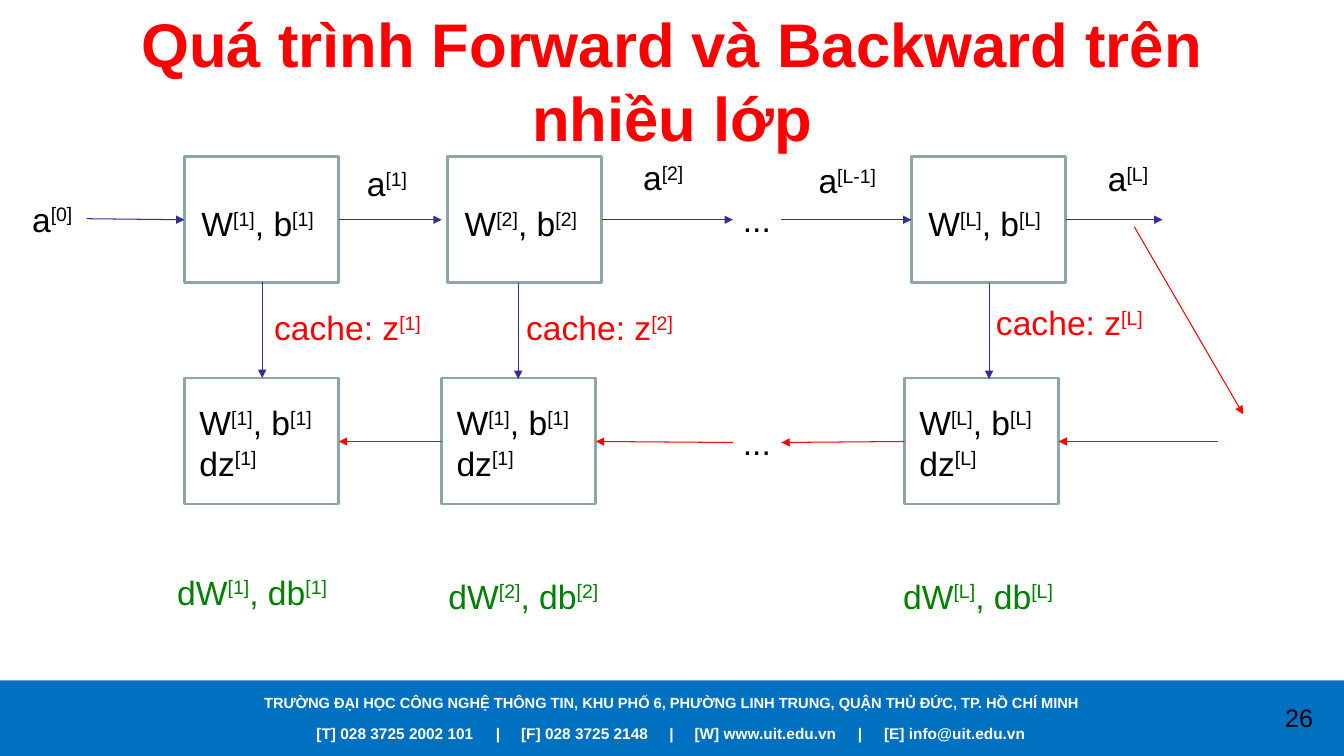
from dataclasses import dataclass

from lxml import etree
from pptx import Presentation
from pptx.dml.color import RGBColor
from pptx.enum.shapes import MSO_CONNECTOR, MSO_SHAPE
from pptx.enum.text import MSO_ANCHOR, MSO_AUTO_SIZE, PP_ALIGN
from pptx.oxml.ns import qn
from pptx.shapes.shapetree import GroupShapes, SlideShapes
from pptx.slide import Slide
from pptx.text.text import TextFrame, _Paragraph
from pptx.util import Inches, Pt

RECTANGLE = MSO_SHAPE.RECTANGLE
STRAIGHT = MSO_CONNECTOR.STRAIGHT
MIDDLE = MSO_ANCHOR.MIDDLE
NO_AUTOFIT = MSO_AUTO_SIZE.NONE
LEFT, CENTER = PP_ALIGN.LEFT, PP_ALIGN.CENTER

COLORS = {
    "black": "000000",
    "white": "FFFFFF",
    "red": "FF0000",
    "green": "008000",
    "navy": "2F2F98",
    "outline": "8AA6A8",
    "footer": "0070C0",
}
FORMATS = {
    "title": {"name": "Arial", "size": Pt(44), "bold": True},
    "formula": {"name": "Arial", "size": Pt(24), "bold": False},
    "address": {"name": "Arial", "size": Pt(10.5), "bold": True},
    "contact": {"name": "Arial", "size": Pt(11), "bold": True},
    "number": {"name": "Arial", "size": Pt(18), "bold": False},
}
BOX_WIDTH, BOX_HEIGHT = 1.53, 1.25
FORWARD_TOP, BACKWARD_TOP = 1.55, 3.75
FORWARD_AXIS, BACKWARD_AXIS = 2.18, 4.38
CONTACT_TABS = (1.78, 2.03, 3.5, 3.75, 5.37, 5.63)


@dataclass(frozen=True)
class Label:
    text: str
    left: float
    top: float
    width: float
    height: float = 0.5
    color: str = "black"
    style: str = "formula"
    align: PP_ALIGN = LEFT
    wrap: bool = False


@dataclass(frozen=True)
class Layer:
    left: float
    top: float
    label: Label


@dataclass(frozen=True)
class Arrow:
    start: tuple[float, float]
    end: tuple[float, float]
    color: str


def forward_layer(index: str, left: float) -> Layer:
    weights = Label(f"W[{index}], b[{index}]", left + 0.07, 1.96, 1.39)
    return Layer(left, FORWARD_TOP, weights)


def backward_layer(index: str, left: float) -> Layer:
    weights = Label(f"W[{index}], b[{index}]\ndz[{index}]", left + 0.05, 3.94, 1.39, 0.91)
    return Layer(left, BACKWARD_TOP, weights)


LAYERS = [
    forward_layer("1", 1.83),
    forward_layer("2", 4.44),
    forward_layer("L", 9.04),
    backward_layer("1", 1.83),
    backward_layer("1", 4.38),
    backward_layer("L", 8.97),
]
FORMULAS = [
    Label("...", 7.27, 1.92, 0.48),
    Label("...", 7.27, 4.14, 0.48),
    Label("a[0]", 0.22, 1.92, 0.64),
    Label("a[1]", 3.54, 1.57, 0.64),
    Label("a[2]", 6.28, 1.51, 0.64),
    Label("a[L-1]", 8.02, 1.54, 0.84),
    Label("a[L]", 10.89, 1.52, 0.64),
    Label("cache: z[1]", 2.62, 3, 1.71, color="red"),
    Label("cache: z[2]", 5.12, 3, 1.71, color="red"),
    Label("cache: z[L]", 9.78, 2.95, 1.71, color="red"),
    Label("dW[1], db[1]", 1.66, 5.62, 1.77, color="green"),
    Label("dW[2], db[2]", 4.35, 5.66, 1.77, color="green"),
    Label("dW[L], db[L]", 8.86, 5.66, 1.77, color="green"),
]
FORWARD_SPANS = [(3.36, 4.38), (5.97, 7.27), (7.75, 9.04), (10.57, 11.53)]
CACHE_DROPS = [(2.6, 2.8), (5.14, 2.81), (9.81, 2.81)]
ARROWS = [
    Arrow((0.86, 2.17), (1.83, FORWARD_AXIS), "navy"),
    *(Arrow((start, FORWARD_AXIS), (end, FORWARD_AXIS), "navy") for start, end in FORWARD_SPANS),
    *(Arrow((x, top), (x, top + 0.95), "navy") for x, top in CACHE_DROPS),
    Arrow((12.08, BACKWARD_AXIS), (10.5, BACKWARD_AXIS), "red"),
    Arrow((8.97, BACKWARD_AXIS), (7.75, 4.39), "red"),
    Arrow((7.27, 4.39), (5.91, BACKWARD_AXIS), "red"),
    Arrow((4.38, BACKWARD_AXIS), (3.36, BACKWARD_AXIS), "red"),
    Arrow((11.25, 2.25), (12.33, 4.11), "red"),
]
ADDRESS = Label(
    "TRƯỜNG ĐẠI HỌC CÔNG NGHỆ THÔNG TIN, KHU PHỐ 6, PHƯỜNG LINH TRUNG, QUẬN THỦ ĐỨC, TP. HỒ CHÍ MINH",
    0, 6.83, 13.33, 0.28, "white", "address", CENTER, True,
)
CONTACT = Label(
    "[T] 028 3725 2002 101\t|\t[F] 028 3725 2148\t|\t[W] www.uit.edu.vn\t|\t[E] info@uit.edu.vn",
    3.04, 7.13, 7.4, 0.29, "white", "contact", LEFT, True,
)
PAGE_NUMBER = Label("26", 12.44, 6.92, 0.89, 0.4, "black", "number", CENTER, True)


def rgb(color: str) -> RGBColor:
    return RGBColor.from_string(COLORS[color])


def format_paragraph(paragraph: _Paragraph, style: str, color: str) -> None:
    for run in paragraph.runs:
        for attribute, value in FORMATS[style].items():
            setattr(run.font, attribute, value)
        run.font.color.rgb = rgb(color)


def add_formula(paragraph: _Paragraph, formula: str) -> None:
    for part in filter(None, formula.replace("[", "|[").replace("]", "]|").split("|")):
        run = paragraph.add_run()
        run.text = part
        if part.startswith("["):
            run._r.get_or_add_rPr().set("baseline", "30000")


def add_label(shapes: SlideShapes | GroupShapes, label: Label) -> TextFrame:
    bounds = (label.left, label.top, label.width, label.height)
    frame = shapes.add_textbox(*map(Inches, bounds)).text_frame
    frame.word_wrap = label.wrap
    for position, line in enumerate(label.text.split("\n")):
        paragraph = frame.add_paragraph() if position else frame.paragraphs[0]
        paragraph.alignment = label.align
        if label.style == "formula":
            add_formula(paragraph, line)
        else:
            paragraph.add_run().text = line
        format_paragraph(paragraph, label.style, label.color)
    return frame


def add_layer(slide: Slide, layer: Layer) -> None:
    group = slide.shapes.add_group_shape()
    bounds = (layer.left, layer.top, BOX_WIDTH, BOX_HEIGHT)
    outline = group.shapes.add_shape(RECTANGLE, *map(Inches, bounds))
    outline.shadow.inherit = False
    outline.fill.background()
    outline.line.color.rgb = rgb("outline")
    outline.line.width = Pt(2)
    add_label(group.shapes, layer.label)


def add_arrow(slide: Slide, arrow: Arrow) -> None:
    connector = slide.shapes.add_connector(STRAIGHT, *map(Inches, arrow.start + arrow.end))
    connector.line.color.rgb = rgb(arrow.color)
    connector.line.width = Pt(0.75)
    etree.SubElement(connector.line._get_or_add_ln(), qn("a:tailEnd"), type="triangle")
    etree.SubElement(connector._element.spPr, qn("a:effectLst"))


def add_footer(slide: Slide) -> None:
    band = slide.shapes.add_shape(RECTANGLE, *map(Inches, (0, 6.75, 13.33, 0.75)))
    band.shadow.inherit = False
    band.fill.solid()
    band.fill.fore_color.rgb = rgb("footer")
    band.line.fill.background()
    add_label(slide.shapes, ADDRESS)
    contact = add_label(slide.shapes, CONTACT).paragraphs[0]
    tabs = etree.SubElement(contact._p.get_or_add_pPr(), qn("a:tabLst"))
    for stop in CONTACT_TABS:
        etree.SubElement(tabs, qn("a:tab"), pos=str(Inches(stop)), algn="l")
    add_label(slide.shapes, PAGE_NUMBER)


def add_title(slide: Slide) -> None:
    title = slide.shapes.title
    title.left, title.top, title.width, title.height = map(Inches, (0.67, 0.17, 12, 1.25))
    frame = title.text_frame
    frame.text = "Quá trình Forward và Backward trên nhiều lớp"
    frame.auto_size, frame.word_wrap, frame.vertical_anchor = NO_AUTOFIT, True, MIDDLE
    frame.paragraphs[0].alignment = CENTER
    format_paragraph(frame.paragraphs[0], "title", "red")


def main() -> None:
    deck = Presentation()
    deck.slide_width, deck.slide_height = Inches(13.33), Inches(7.5)
    slide = deck.slides.add_slide(deck.slide_layouts[5])
    add_footer(slide)
    add_title(slide)
    for layer in LAYERS:
        add_layer(slide, layer)
    for arrow in ARROWS:
        add_arrow(slide, arrow)
    for formula in FORMULAS:
        add_label(slide.shapes, formula)
    deck.save("out.pptx")


if __name__ == "__main__":
    main()
